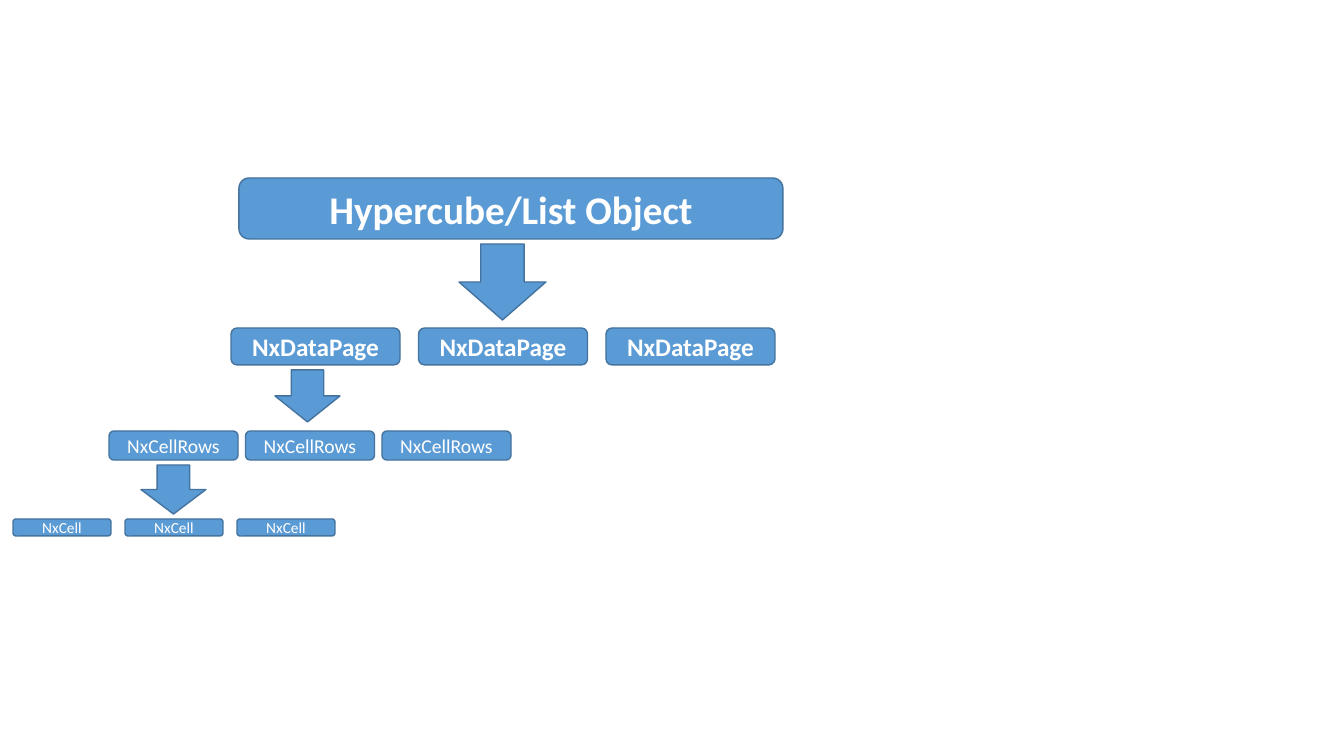
import pptx
import pptx.util
import pptx.dml.color
import pptx.enum.shapes
import pptx.enum.text

SCALE = 914400 / 100.8  # EMU in one pixel
SHAPES = pptx.enum.shapes.MSO_SHAPE


def pixels(length):
    """Turn pixels into EMU."""
    return pptx.util.Emu(round(length * SCALE))


def color(hex_string):
    """Turn a hex string into a colour."""
    return pptx.dml.color.RGBColor.from_string(hex_string)


def add_block(slide, kind, box):
    """Add a blue outlined preset shape in the box (left, top, width, height)."""
    shape = slide.shapes.add_shape(kind, *map(pixels, box))
    shape.shadow.inherit = False
    shape.fill.solid()
    shape.fill.fore_color.rgb = color("5B9BD5")
    shape.line.color.rgb = color("43739E")
    shape.line.width = pptx.util.Pt(1)
    return shape


def add_label(slide, box, text, size, bold):
    """Add a rounded block with centred white text."""
    text_frame = add_block(slide, SHAPES.ROUNDED_RECTANGLE, box).text_frame
    text_frame.text = text
    text_frame.word_wrap = True
    text_frame.vertical_anchor = pptx.enum.text.MSO_ANCHOR.MIDDLE
    paragraph = text_frame.paragraphs[0]
    paragraph.alignment = pptx.enum.text.PP_ALIGN.CENTER
    font = paragraph.runs[0].font
    font.name = "Calibri"
    font.size = pptx.util.Pt(size)
    font.bold = bold
    font.color.rgb = color("FFFFFF")


def add_level(slide, box, count, block_width, text, size, bold):
    """Spread equal labels evenly across the box of one hierarchy level."""
    left, top, width, height = box
    pitch = (width - block_width) / max(count - 1, 1)
    for index in range(count):
        block = (left + index * pitch, top, block_width, height)
        add_label(slide, block, text, size, bold)


def build_hierarchy(slide):
    """Build the four levels and the arrows that lead down between them."""
    levels = [
        ((239, 178, 544, 61), 1, 544, "Hypercube/List Object", 28, True),
        ((231, 328, 544, 37), 3, 169, "NxDataPage", 18, True),
        ((109, 431, 402, 29), 3, 129, "NxCellRows", 14, False),
        ((13, 519, 322, 17), 3, 98, "NxCell", 11, False),
    ]
    arrows = [(459, 244, 87, 76), (275, 370, 65, 52), (141, 465, 65, 49)]
    for level in levels:
        add_level(slide, *level)
    for arrow in arrows:
        add_block(slide, SHAPES.DOWN_ARROW, arrow)


def main():
    """Create the presentation and save it."""
    presentation = pptx.Presentation()
    presentation.slide_width = pixels(1344)
    presentation.slide_height = pixels(756)
    slide = presentation.slides.add_slide(presentation.slide_layouts[6])
    build_hierarchy(slide)
    presentation.save("out.pptx")


main()
